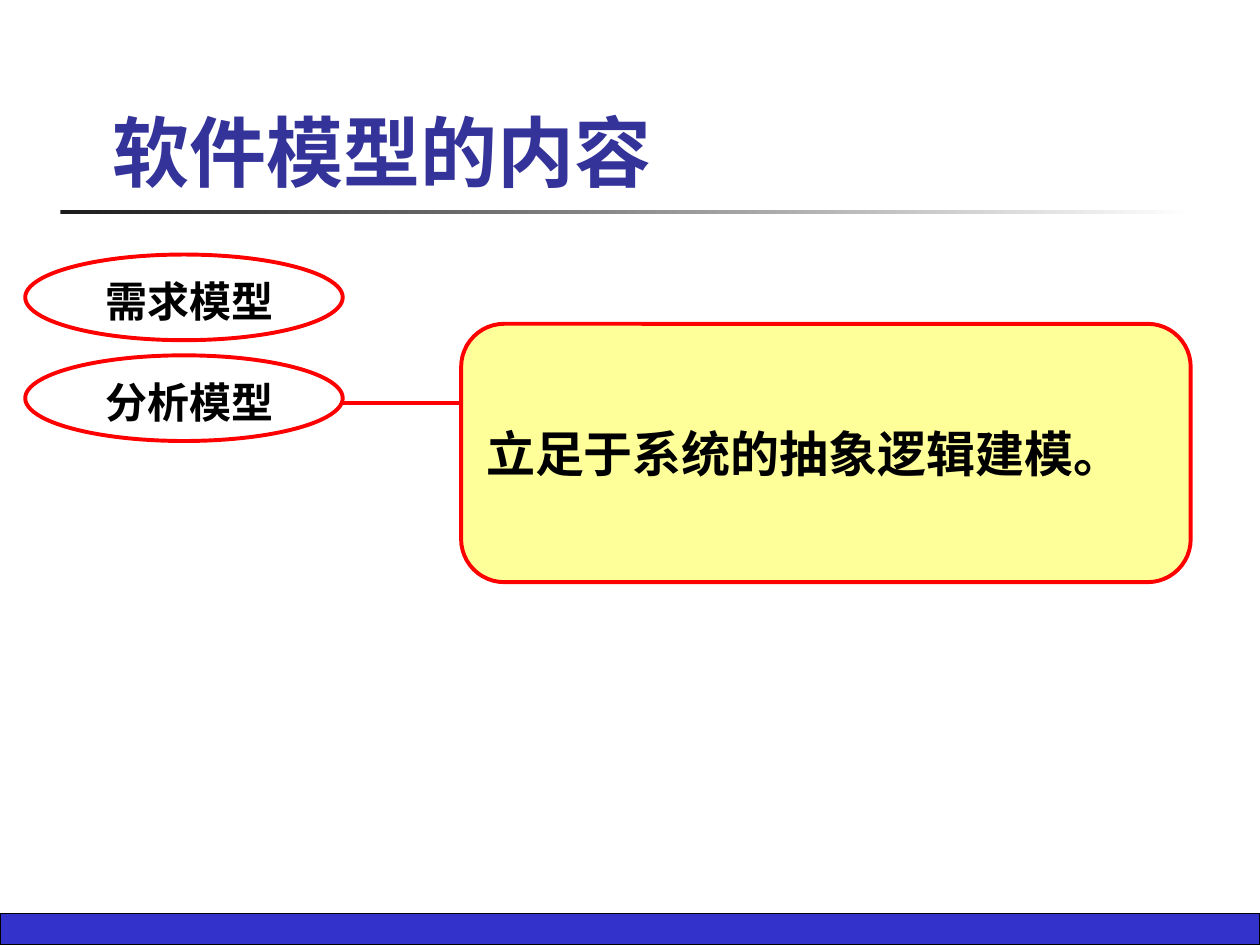
from dataclasses import dataclass

from lxml import etree
from pptx import Presentation
from pptx.dml.color import RGBColor
from pptx.enum.shapes import MSO_CONNECTOR, MSO_SHAPE
from pptx.enum.text import MSO_ANCHOR, MSO_AUTO_SIZE, PP_ALIGN
from pptx.oxml.ns import qn
from pptx.util import Inches, Pt


@dataclass(frozen=True)
class Theme:
    """Colours, fonts and type sizes of the slide."""
    title: str = "333399"
    text: str = "000000"
    outline: str = "FF0000"
    note: str = "FFFF99"
    footer: str = "3333CC"
    rule: tuple = ("1C1C1C", "FFFFFF")
    serif: str = "Times New Roman"
    sans: str = "Arial"
    title_size: int = 44
    label_size: int = 24
    note_size: int = 28
    stroke: float = 2.25


def rgb(code):
    """Turn a hex code into a colour."""
    return RGBColor.from_string(code)


class SlideBuilder:
    """Holds the theme and the current slide."""

    def __init__(self, slide, theme):
        """Keep the slide and its style."""
        self.slide, self.theme = slide, theme

    def set_text(self, shape, text, size, font, color, align=PP_ALIGN.LEFT,
                 anchor=MSO_ANCHOR.TOP):
        """Put one bold line of text into a shape."""
        frame = shape.text_frame
        frame.word_wrap = True
        frame.auto_size = MSO_AUTO_SIZE.NONE
        frame.vertical_anchor = anchor
        paragraph = frame.paragraphs[0]
        paragraph.alignment = align
        run = paragraph.add_run()
        run.text = text
        run.font.size, run.font.name, run.font.bold = Pt(size), font, True
        run.font.color.rgb = rgb(color)

    def title(self, text, box):
        """Place and fill the title placeholder."""
        title = self.slide.shapes.title
        title.left, title.top, title.width, title.height = map(Inches, box)
        self.set_text(title, text, self.theme.title_size, self.theme.serif,
                      self.theme.title, anchor=MSO_ANCHOR.BOTTOM)

    def shape(self, kind, box, fill=None, line=None, width=None, parent=None):
        """Add a preset shape, to a group if one is given."""
        shapes = (parent or self.slide).shapes
        shape = shapes.add_shape(kind, *map(Inches, box))
        shape.shadow.inherit = False
        if fill:
            shape.fill.solid()
            shape.fill.fore_color.rgb = rgb(fill)
        else:
            shape.fill.background()
        if line:
            shape.line.color.rgb = rgb(line)
            shape.line.width = Pt(width or self.theme.stroke)
        else:
            shape.line.fill.background()
        return shape

    def fading_rule(self, box):
        """Add a thin bar that fades from left to right."""
        bar = self.shape(MSO_SHAPE.RECTANGLE, box)
        bar.fill.gradient()
        bar.fill.gradient_angle = 0
        for position, (stop, color) in enumerate(
                zip(bar.fill.gradient_stops, self.theme.rule)):
            stop.color.rgb = rgb(color)
            stop.position = position

    def model(self, text, top):
        """Add a group of an ellipse and its label."""
        group = self.slide.shapes.add_group_shape()
        self.shape(MSO_SHAPE.OVAL, (0.2, top, 2.52, 0.68),
                   line=self.theme.outline, parent=group)
        label = group.shapes.add_textbox(
            *map(Inches, (0.52, top + 0.12, 1.97, 0.5)))
        self.set_text(label, text, self.theme.label_size, self.theme.serif,
                      self.theme.text, PP_ALIGN.CENTER)

    def link(self, start, end):
        """Add a straight line between two points."""
        line = self.slide.shapes.add_connector(
            MSO_CONNECTOR.STRAIGHT, *map(Inches, (*start, *end)))
        line.line.color.rgb = rgb(self.theme.outline)
        line.line.width = Pt(self.theme.stroke)
        etree.SubElement(line._element.spPr, qn("a:effectLst"))

    def note(self, text, box):
        """Add the rounded explanation box."""
        note = self.shape(MSO_SHAPE.FLOWCHART_ALTERNATE_PROCESS, box,
                          self.theme.note, self.theme.outline)
        self.set_text(note, text, self.theme.note_size, self.theme.sans,
                      self.theme.text, anchor=MSO_ANCHOR.MIDDLE)


def main():
    """Build and save the slide."""
    deck = Presentation()
    deck.slide_width, deck.slide_height = Inches(10), Inches(7.5)
    theme = Theme()
    page = SlideBuilder(deck.slides.add_slide(deck.slide_layouts[5]), theme)
    page.shape(MSO_SHAPE.RECTANGLE, (0, 7.25, 10, 0.25), theme.footer,
               theme.text, 0.75)
    page.fading_rule((0.48, 1.67, 9, 0.03))
    page.title("软件模型的内容", (0.79, 0.36, 8.52, 1.25))
    page.link((2.72, 3.2), (3.68, 3.2))
    for row, name in enumerate(("需求模型", "分析模型")):
        page.model(name, 2.02 + 0.8 * row)
    page.note("立足于系统的抽象逻辑建模。", (3.66, 2.57, 5.79, 2.05))
    deck.save("out.pptx")


main()
